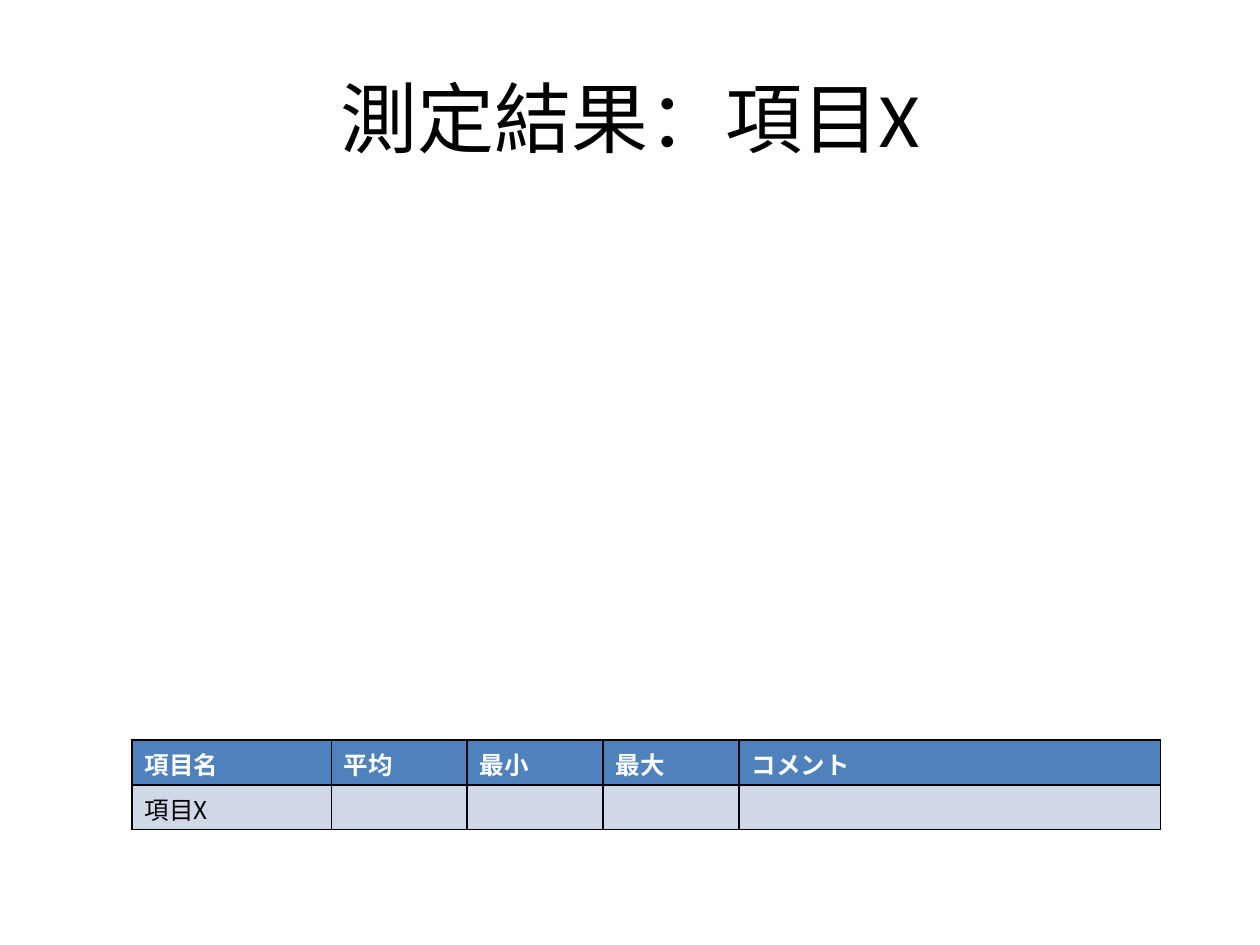
from lxml.etree import SubElement
from pptx import Presentation
from pptx.dml.color import RGBColor
from pptx.enum.text import MSO_ANCHOR, PP_ALIGN
from pptx.oxml import parse_xml
from pptx.oxml.ns import nsdecls, qn
from pptx.util import Cm, Pt

COLORS = {"text": "000000", "head_text": "FFFFFF", "head": "4F81BD",
          "body": "D0D8E8", "border": "000000"}
CJK = "Noto Sans CJK JP"
TITLE = {"name": "Calibri", "size": Pt(44), "bold": False}
HEAD = {"name": CJK, "size": Pt(14), "bold": True}
BODY = {**HEAD, "bold": False}

COLUMNS = [("項目名", 4.02), ("平均", 2.74), ("最小", 2.74), ("最大", 2.74),
           ("コメント", 8.5)]
ROWS = [[label for label, _ in COLUMNS], ["項目X", "", "", "", ""]]


def add_text(p, text, fmt, color):
    if not text:
        # An empty cell keeps the text size, so its row does not grow
        SubElement(p._p, qn("a:endParaRPr"), sz=str(int(fmt["size"].pt * 100)))
        return
    r = p.add_run()
    r.text = text
    for name, value in fmt.items():
        setattr(r.font, name, value)
    r.font.color.rgb = RGBColor.from_string(COLORS[color])
    SubElement(r._r.get_or_add_rPr(), qn("a:ea"), typeface=CJK)


def add_title(s, text):
    sp = s.shapes.add_textbox(Cm(1.27), Cm(0.76), Cm(22.86), Cm(3.18))
    tf = sp.text_frame
    tf.word_wrap = True
    tf.vertical_anchor = MSO_ANCHOR.MIDDLE
    p = tf.paragraphs[0]
    p.alignment = PP_ALIGN.CENTER
    add_text(p, text, TITLE, "text")


def set_borders(cell):
    tcPr = cell._tc.get_or_add_tcPr()
    for i, side in enumerate("LRTB"):
        tcPr.insert(i, parse_xml(
            f'<a:ln{side} {nsdecls("a")} w="{Pt(1)}"><a:solidFill>'
            f'<a:srgbClr val="{COLORS["border"]}"/></a:solidFill></a:ln{side}>'))


def fill_cell(cell, text, fmt, fill, color):
    cell.fill.solid()
    cell.fill.fore_color.rgb = RGBColor.from_string(COLORS[fill])
    set_borders(cell)
    add_text(cell.text_frame.paragraphs[0], text, fmt, color)


def add_results(s):
    width = sum(w for _, w in COLUMNS)
    height = 0.9
    table = s.shapes.add_table(len(ROWS), len(COLUMNS), Cm(2.66), Cm(14.92),
                               Cm(width), Cm(height * len(ROWS))).table
    for col, (_, w) in zip(table.columns, COLUMNS):
        col.width = Cm(w)
    for i, row in enumerate(ROWS):
        style = (BODY, "body", "text") if i else (HEAD, "head", "head_text")
        for j, text in enumerate(row):
            fill_cell(table.cell(i, j), text, *style)


def main():
    prs = Presentation()
    prs.slide_width, prs.slide_height = Cm(25.4), Cm(19.05)
    s = prs.slides.add_slide(prs.slide_layouts[6])
    # Heading
    add_title(s, "測定結果：項目X")
    # Measurement table
    add_results(s)
    prs.save("out.pptx")


main()
